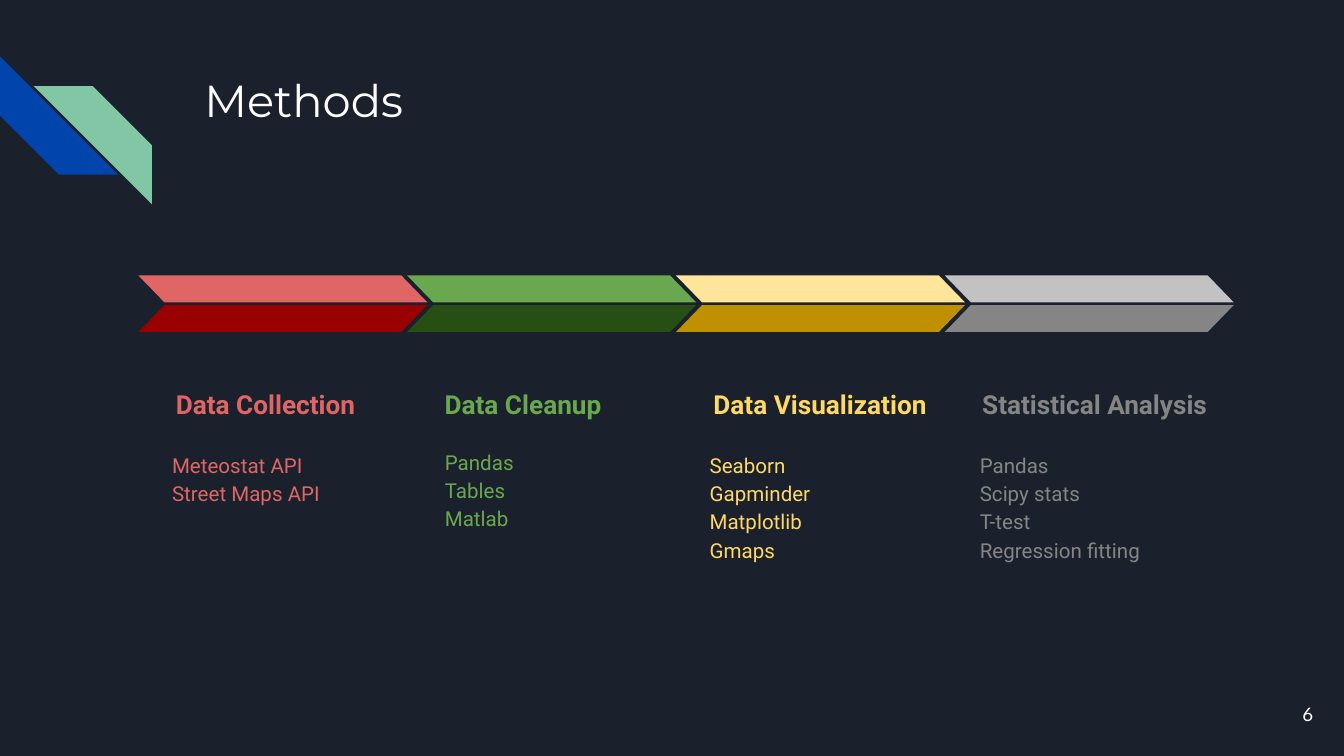
"""Build the Methods slide: four process stages with their tools."""
from lxml.etree import SubElement
from pptx import Presentation
from pptx.dml.color import RGBColor
from pptx.enum.shapes import MSO_SHAPE
from pptx.enum.text import MSO_ANCHOR, MSO_AUTO_SIZE, PP_ALIGN
from pptx.oxml.ns import qn
from pptx.util import Inches, Pt

TITLE = "Methods"
PAGE_NUMBER = "6"
STAGES = [
    {"name": "Data Collection", "tools": ["Meteostat API", "Street Maps API"],
     "text": "E06666", "upper": "E06666", "lower": "990000",
     "name_at": (1.21, 2.59, 1.76, 0.63), "tools_at": (1.18, 3.24)},
    {"name": "Data Cleanup", "tools": ["Pandas", "Tables", "Matlab"],
     "text": "6AA84F", "upper": "6AA84F", "lower": "274E13",
     "name_at": (3.21, 2.59, 1.76, 0.63), "tools_at": (3.21, 3.22)},
    {"name": "Data Visualization", "tools": ["Seaborn", "Gapminder", "Matplotlib", "Gmaps"],
     "text": "FFD966", "upper": "FFE599", "lower": "BF9000",
     "name_at": (5.21, 2.59, 1.9, 0.63), "tools_at": (5.18, 3.24)},
    {"name": "Statistical Analysis", "tools": ["Pandas", "Scipy stats", "T-test", "Regression fitting"],
     "text": "858585", "upper": "C2C2C2", "lower": "858585",
     "name_at": (7.21, 2.59, 1.9, 0.63), "tools_at": (7.19, 3.24)},
]
THEME = {
    "background": "1B212C", "blue": "0145AC", "green": "82C7A5", "white": "FFFFFF",
    "title": {"name": "Montserrat", "size": Pt(24), "bold": False},
    "stage": {"name": "Roboto", "size": Pt(14), "bold": True},
    "tools": {"name": "Roboto", "size": Pt(11), "bold": False},
    "number": {"name": "Lato", "size": Pt(10), "bold": False},
}
SLIDE_WIDTH = 10
SLIDE_HEIGHT = SLIDE_WIDTH * 9 / 16
BAND_LEFT, BAND_STEP, BAND_WIDTH, BAND_HEIGHT = 1.03, 2, 2.15, 0.2
UPPER_TOP, LOWER_TOP = 2.05, 2.27
TOOLS_SIZE = (1.81, 1.04)


def place(box, area):
    box.left, box.top, box.width, box.height = map(Inches, area)


def write(box, area, lines, style, color, anchor=MSO_ANCHOR.TOP, align=PP_ALIGN.LEFT, spacing=1.0):
    place(box, area)
    frame = box.text_frame
    margins = dict.fromkeys(("margin_left", "margin_top", "margin_right", "margin_bottom"), Inches(0.1))
    settings = {"word_wrap": True, "auto_size": MSO_AUTO_SIZE.NONE, "vertical_anchor": anchor}
    for key, value in {**margins, **settings}.items():
        setattr(frame, key, value)
    frame.text = "\n".join(lines)
    layout = {"alignment": align, "line_spacing": spacing, "space_before": Pt(0), "space_after": Pt(0)}
    for para in frame.paragraphs:
        for key, value in layout.items():
            setattr(para, key, value)
        properties = para._p.get_or_add_pPr()
        properties.set("marL", "0")
        properties.set("indent", "0")
        SubElement(properties, qn("a:buNone"))
        for span in para.runs:
            for key, value in style.items():
                setattr(span.font, key, value)
            span.font.color.rgb = RGBColor.from_string(color)


def add_stripe(page, kind, area, adjustment, color, rotation=0, flipped=False):
    shape = page.shapes.add_shape(kind, *map(Inches, area))
    shape.shadow.inherit = False
    shape.adjustments[0] = adjustment
    shape.fill.solid()
    shape.fill.fore_color.rgb = RGBColor.from_string(color)
    shape.line.fill.background()
    shape.rotation = rotation
    if flipped:
        shape.element.spPr.find(qn("a:xfrm")).set("flipH", "1")


def add_stage(page, index, stage, tools_box):
    left = BAND_LEFT + index * BAND_STEP
    for top, part in ((UPPER_TOP, "upper"), (LOWER_TOP, "lower")):
        add_stripe(page, MSO_SHAPE.PARALLELOGRAM, (left, top, BAND_WIDTH, BAND_HEIGHT),
                   0.97, stage[part], flipped=part == "upper")
    name_box = page.shapes.add_textbox(0, 0, 0, 0)
    write(name_box, stage["name_at"], [stage["name"]], THEME["stage"], stage["text"],
          anchor=MSO_ANCHOR.BOTTOM, spacing=1.15)
    write(tools_box, stage["tools_at"] + TOOLS_SIZE, stage["tools"], THEME["tools"],
          stage["text"], spacing=1.15)


def main():
    deck = Presentation()
    deck.slide_width, deck.slide_height = Inches(SLIDE_WIDTH), Inches(SLIDE_HEIGHT)
    page = deck.slides.add_slide(deck.slide_layouts.get_by_name("Comparison"))
    page.background.fill.solid()
    page.background.fill.fore_color.rgb = RGBColor.from_string(THEME["background"])

    add_stripe(page, MSO_SHAPE.DIAGONAL_STRIPE, (0, 0.42, 0.88, 0.88), 0.5, THEME["blue"], rotation=270)
    add_stripe(page, MSO_SHAPE.DIAGONAL_STRIPE, (0.25, 0.64, 0.88, 0.88), 0.5, THEME["green"], flipped=True)
    title, *bodies = page.placeholders
    write(title, (1.42, 0.44, 7.7, 1), [TITLE], THEME["title"], THEME["white"])
    for index, (stage, body) in enumerate(zip(STAGES, bodies)):
        add_stage(page, index, stage, body)
    number_box = page.shapes.add_textbox(0, 0, 0, 0)
    write(number_box, (9.27, 5.1, 0.6, 0.43), [PAGE_NUMBER], THEME["number"], THEME["white"],
          anchor=MSO_ANCHOR.MIDDLE, align=PP_ALIGN.RIGHT)
    deck.save("out.pptx")


if __name__ == "__main__":
    main()
